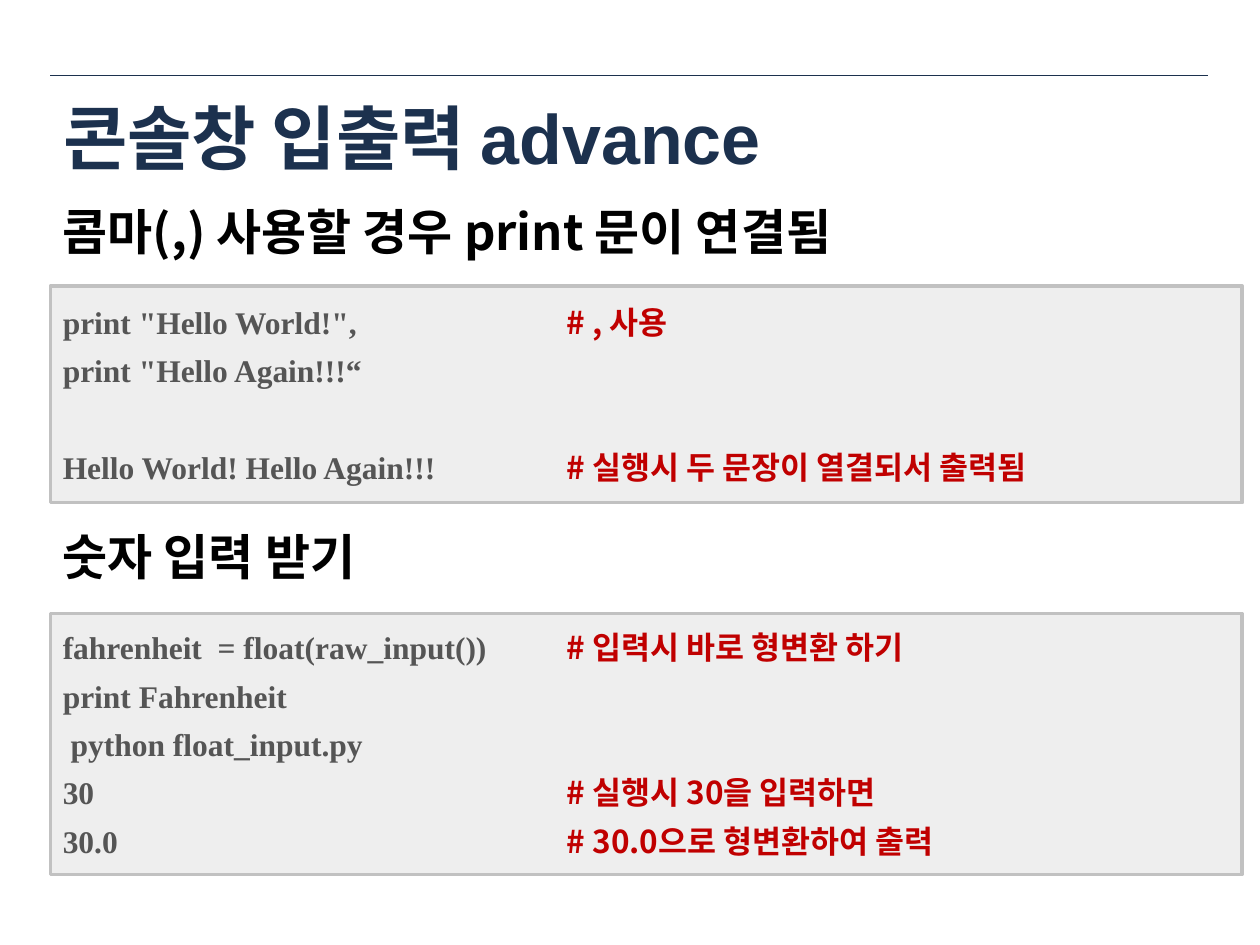
from lxml.etree import SubElement
from pptx import Presentation
from pptx.dml.color import RGBColor
from pptx.enum.shapes import MSO_CONNECTOR, MSO_SHAPE
from pptx.enum.text import MSO_ANCHOR, PP_ALIGN
from pptx.oxml.ns import qn
from pptx.util import Inches, Pt

NAVY = RGBColor(0x1C, 0x31, 0x4E)
BLACK = RGBColor(0x00, 0x00, 0x00)
CODE_GRAY = RGBColor(0x55, 0x55, 0x55)
COMMENT_RED = RGBColor(0xC0, 0x00, 0x00)
PANEL_FILL = RGBColor(0xEE, 0xEE, 0xEE)
PANEL_BORDER = RGBColor(0xC1, 0xC1, 0xC1)

KOREAN_FONT = "Noto Sans CJK KR"
CODE_FONT = "Times New Roman"
LEFT = Inches(0.4)
COMMENT_TAB = Inches(4)
BLANK_LINE = Pt(27.6)

# Each line: code, comment, space before
PRINT_LINES = [
    ('print "Hello World!", ', "# , 사용", None),
    ('print "Hello Again!!!“', None, None),
    ("Hello World! Hello Again!!!", "# 실행시 두 문장이 열결되서 출력됨", BLANK_LINE),
]
INPUT_LINES = [
    ("fahrenheit  = float(raw_input()) ", "# 입력시 바로 형변환 하기", None),
    ("print Fahrenheit", None, None),
    (" python float_input.py", None, None),
    ("30", "# 실행시 30을 입력하면", None),
    ("30.0", "# 30.0으로 형변환하여 출력", None),
]


def format_run(run, font_name, size, color):
    run.font.name = font_name
    run.font.size = Pt(size)
    run.font.bold = True
    run.font.color.rgb = color
    SubElement(run.font._element, qn("a:ea")).set("typeface", KOREAN_FONT)


def add_rule(slide):
    rule = slide.shapes.add_connector(
        MSO_CONNECTOR.STRAIGHT, LEFT, Inches(0.6), Inches(9.59), Inches(0.6))
    rule.line.color.rgb = NAVY
    rule.line.width = Pt(0.25)
    SubElement(rule._element.spPr, qn("a:effectLst"))


def set_title(slide, wording):
    title = slide.shapes.title
    title.left, title.top = LEFT, Inches(0.62)
    title.width, title.height = Inches(9.18), Inches(0.93)
    frame = title.text_frame
    frame.text = wording
    frame.vertical_anchor = MSO_ANCHOR.MIDDLE
    paragraph = frame.paragraphs[0]
    paragraph.alignment = PP_ALIGN.LEFT
    format_run(paragraph.runs[0], "Arial", 40, NAVY)


def add_heading(slide, top, wording):
    heading = slide.shapes.add_textbox(LEFT, Inches(top), Inches(9.6), Inches(0.57))
    frame = heading.text_frame
    frame.word_wrap = True
    frame.text = wording
    paragraph = frame.paragraphs[0]
    paragraph.space_after = Pt(10)
    format_run(paragraph.runs[0], KOREAN_FONT, 28, BLACK)


def add_comment_tab(paragraph):
    """Line the comments up in one column."""
    tabs = SubElement(paragraph._p.get_or_add_pPr(), qn("a:tabLst"))
    SubElement(tabs, qn("a:tab"), pos=str(COMMENT_TAB), algn="l")


def add_code_panel(slide, top, height, lines):
    panel = slide.shapes.add_shape(
        MSO_SHAPE.RECTANGLE, LEFT, Inches(top), Inches(9.46), Inches(height))
    panel.shadow.inherit = False
    panel.fill.solid()
    panel.fill.fore_color.rgb = PANEL_FILL
    panel.line.color.rgb = PANEL_BORDER
    panel.line.width = Pt(2)
    frame = panel.text_frame
    frame.word_wrap = True
    frame.vertical_anchor = MSO_ANCHOR.MIDDLE
    for index, (code, comment, space_before) in enumerate(lines):
        paragraph = frame.add_paragraph() if index else frame.paragraphs[0]
        add_comment_tab(paragraph)
        paragraph.alignment = PP_ALIGN.LEFT
        paragraph.space_before = space_before
        paragraph.space_after = Pt(6)
        code_run = paragraph.add_run()
        code_run.text = code + "\t" if comment else code
        format_run(code_run, CODE_FONT, 18, CODE_GRAY)
        if comment:
            comment_run = paragraph.add_run()
            comment_run.text = comment
            format_run(comment_run, KOREAN_FONT, 18, COMMENT_RED)


def main():
    presentation = Presentation()
    presentation.slide_width = Inches(10)
    presentation.slide_height = Inches(7.5)
    slide = presentation.slides.add_slide(presentation.slide_layouts[5])
    add_rule(slide)
    set_title(slide, "콘솔창 입출력 advance")
    add_heading(slide, 1.55, "콤마(,) 사용할 경우 print 문이 연결됨")
    add_code_panel(slide, 2.27, 1.72, PRINT_LINES)
    add_heading(slide, 4.13, "숫자 입력 받기")
    add_code_panel(slide, 4.87, 2.07, INPUT_LINES)
    presentation.save("out.pptx")


if __name__ == "__main__":
    main()
